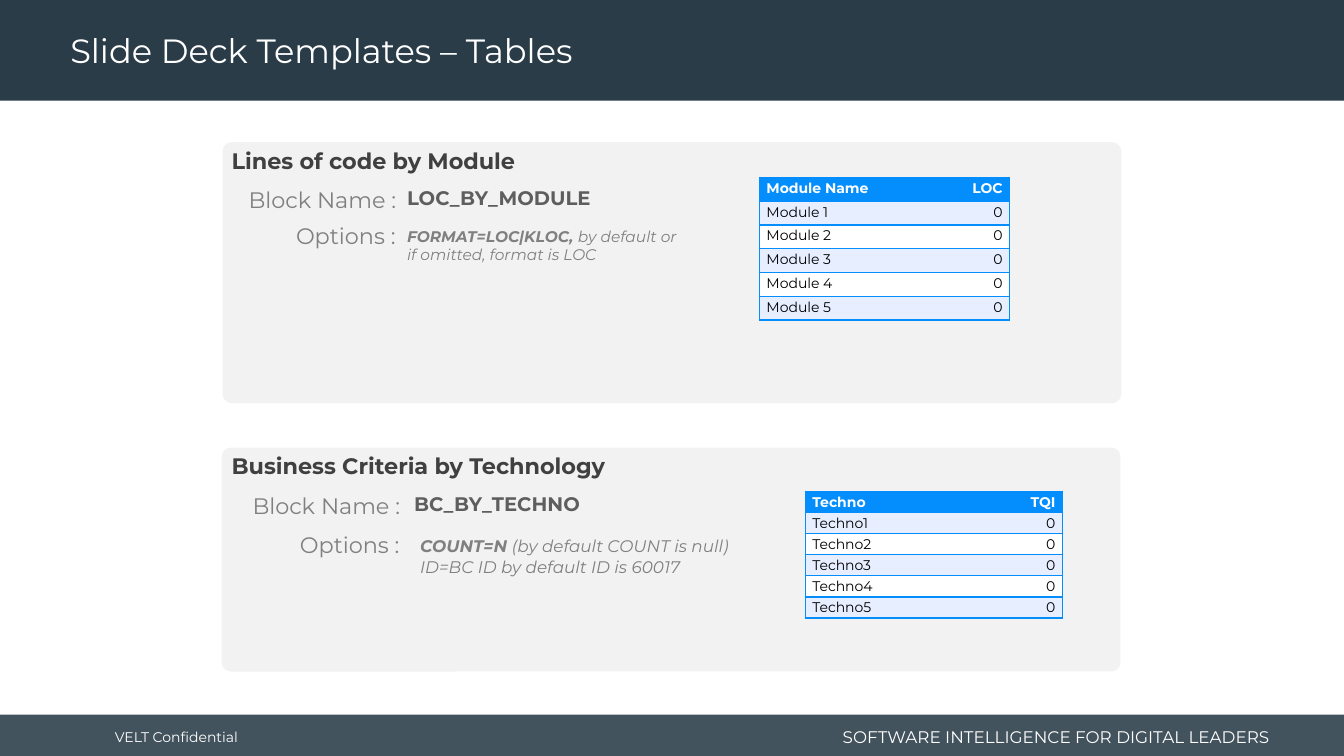
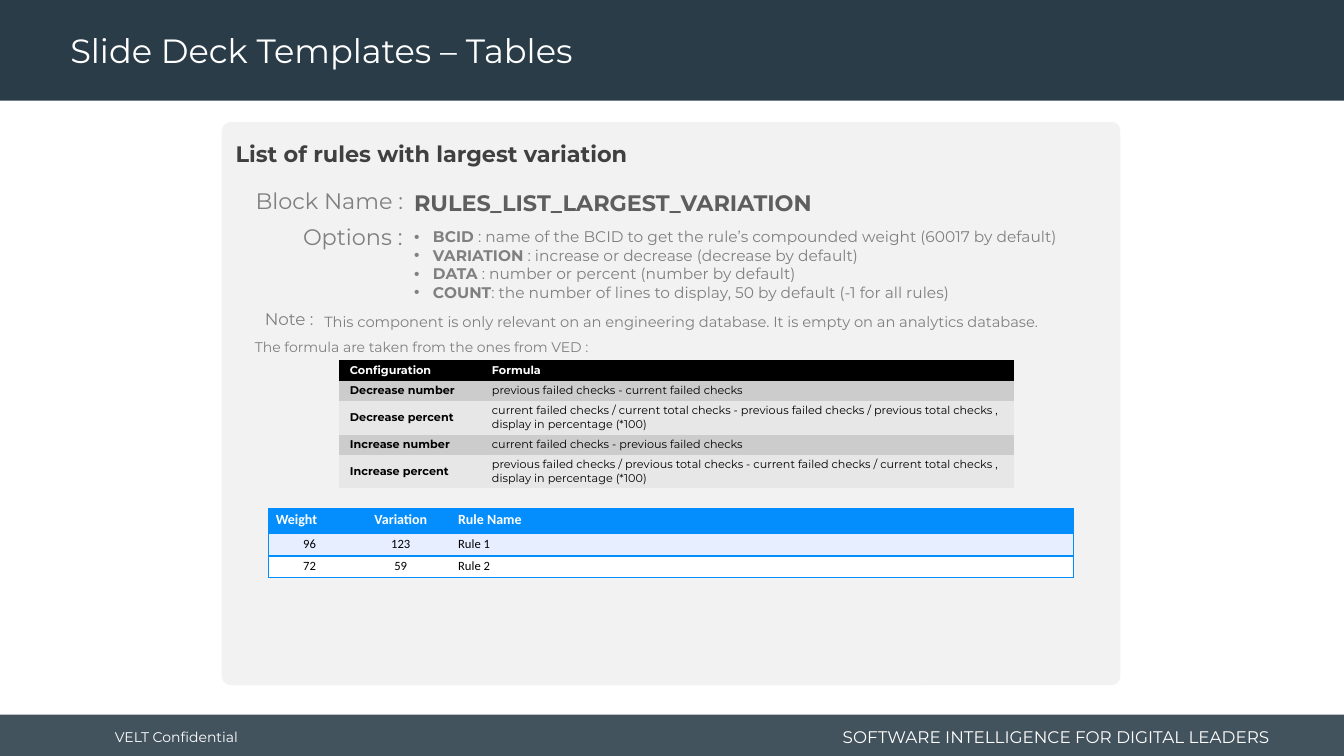
import dataclasses

import pptx
import pptx.dml.color
import pptx.enum.shapes
import pptx.enum.text
import pptx.oxml
import pptx.oxml.ns
import pptx.util

Pt = pptx.util.Pt
qn = pptx.oxml.ns.qn
RGB = pptx.dml.color.RGBColor.from_string
SHAPE = pptx.enum.shapes.MSO_SHAPE
ALIGN = pptx.enum.text.PP_ALIGN
ANCHOR = pptx.enum.text.MSO_ANCHOR
ALIGNS = {"l": ALIGN.LEFT, "c": ALIGN.CENTER, "r": ALIGN.RIGHT}
NS = 'xmlns:a="http://schemas.openxmlformats.org/drawingml/2006/main"'
NO_STYLE = "{2D5ABB26-0587-4C30-8999-92F81FD0307C}"


@dataclasses.dataclass(frozen=True)
class TableLook:
    head: str
    bands: tuple
    border: str = ""
    font: str = "Montserrat"
    head_size: float = 10
    size: float = 10
    spacing: float = 1.15
    margins: tuple = (5, 0)
    anchor: object = ANCHOR.TOP
    bold_first: bool = False


@dataclasses.dataclass(frozen=True)
class Theme:
    font: str = "Montserrat"
    navy: str = "293C47"
    white: str = "FFFFFF"
    black: str = "000000"
    card: str = "F2F2F2"
    heading: str = "404040"
    name: str = "5E5E5E"
    muted: str = "808080"
    title_size: float = 24
    head_size: float = 16
    name_size: float = 14
    body_size: float = 12
    option_size: float = 11
    note_size: float = 10.5
    small_size: float = 10
    radius: float = 6.5
    blue: TableLook = TableLook("048EFD", ("E7EEFF", "FFFFFF"), "048EFD")
    rules: TableLook = TableLook("048EFD", ("E7EEFF", "FFFFFF"), "048EFD",
                                 font="Calibri", size=9)
    grey: TableLook = TableLook("000000", ("CCCCCC", "E7E7E7"), head_size=8, size=8,
                                spacing=1, margins=(8, 2.16), anchor=ANCHOR.MIDDLE,
                                bold_first=True)


class Deck:
    """Draws slides in one style, keeping the theme and the current slide."""

    def __init__(self, theme):
        self.t = theme
        self.prs = pptx.Presentation()
        self.prs.slide_width, self.prs.slide_height = Pt(960), Pt(540)
        self.s = None

    def slide(self, title):
        t = self.t
        self.s = self.prs.slides.add_slide(self.prs.slide_layouts[5])
        self.box(SHAPE.RECTANGLE, 0, 510.5, 960, 29.5, t.navy, alpha=88)
        self.box(SHAPE.RECTANGLE, 0, 0, 960, 72, t.navy)
        self.text(75, 512, 106.5, 28.8, "VELT Confidential", t.small_size, t.white,
                  wrap=False, anchor=ANCHOR.MIDDLE)
        self.text(584, 515, 330, 23, "SOFTWARE INTELLIGENCE FOR DIGITAL LEADERS",
                  t.body_size, t.white, align="r", anchor=ANCHOR.MIDDLE)
        sp = self.s.shapes.title
        sp.element.getparent().append(sp.element)
        self.place(sp, 43, 3, 690, 69)
        sp.text_frame.vertical_anchor = ANCHOR.MIDDLE
        p = sp.text_frame.paragraphs[0]
        self.fill_paragraph(p, [(title, False)], t.title_size, t.white, spacing=0.9)

    def place(self, sp, x, y, w, h):
        for key, value in dict(left=x, top=y, width=w, height=h).items():
            setattr(sp, key, Pt(value))

    def box(self, kind, x, y, w, h, fill, alpha=None):
        sp = self.s.shapes.add_shape(kind, Pt(x), Pt(y), Pt(w), Pt(h))
        sp.shadow.inherit = False
        sp.fill.solid()
        sp.fill.fore_color.rgb = RGB(fill)
        sp.line.fill.background()
        if alpha:
            clr = sp.element.spPr.find(qn("a:solidFill"))[0]
            clr.append(pptx.oxml.parse_xml(f'<a:alpha {NS} val="{alpha * 1000}"/>'))
        return sp

    def card(self, x, y, w, h):
        sp = self.box(SHAPE.ROUNDED_RECTANGLE, x, y, w, h, self.t.card)
        sp.adjustments[0] = self.t.radius / h

    def fill_paragraph(self, p, runs, size, color, align="l", spacing=None, font=None,
                       italic=False):
        p.alignment = ALIGNS[align]
        if spacing:
            p.line_spacing = spacing
        for text, bold in runs:
            r = p.add_run()
            r.text = text
            fmt = dict(name=font or self.t.font, size=Pt(size), bold=bold, italic=italic)
            for key, value in fmt.items():
                setattr(r.font, key, value)
            r.font.color.rgb = RGB(color)

    def text(self, x, y, w, h, content, size, color, bold=False, wrap=True,
             anchor=ANCHOR.TOP, bullet=False, **fmt):
        sp = self.s.shapes.add_textbox(Pt(x), Pt(y), Pt(w), Pt(h))
        tf = sp.text_frame
        tf.word_wrap, tf.vertical_anchor = wrap, anchor
        lines = [[(content, bold)]] if isinstance(content, str) else content
        for i, runs in enumerate(lines):
            p = tf.add_paragraph() if i else tf.paragraphs[0]
            self.fill_paragraph(p, runs, size, color, **fmt)
        if bullet:
            self.bullets(sp)

    def bullets(self, sp):
        for p in sp.element.iter(qn("a:p")):
            pPr = p.get_or_add_pPr()
            pPr.set("marL", str(Pt(13.5)))
            pPr.set("indent", str(-Pt(13.5)))
            pPr.append(pptx.oxml.parse_xml(f'<a:buFont {NS} typeface="Arial"/>'))
            pPr.append(pptx.oxml.parse_xml(f'<a:buChar {NS} char="•"/>'))

    def section(self, card, heading, head_at, block, block_at, name_at, option_y,
                options, options_at, name_size=None, **fmt):
        t = self.t
        self.card(*card)
        self.text(*head_at, 642, 27, heading, t.head_size, t.heading, bold=True)
        self.text(*name_at, 522, 25, block, name_size or t.name_size, t.name, bold=True)
        x, y = block_at
        for label, left, top, w in (("Block Name :", x, y, 120.2),
                                    ("Options :", x + 32.6, option_y, 87.1)):
            self.text(left, top, w, 26.6, label, t.head_size, t.muted, wrap=False, align="r")
        self.text(*options_at, 36, options, color=t.muted, **fmt)

    def table(self, x, y, widths, heights, data, look, aligns, head_aligns=None):
        frame = self.s.shapes.add_table(len(data), len(widths), Pt(x), Pt(y),
                                        Pt(sum(widths)), Pt(sum(heights)))
        frame.element.find(".//" + qn("a:tableStyleId")).text = NO_STYLE
        tbl = frame.table
        tbl.first_row = tbl.horz_banding = False
        for col, w in zip(tbl.columns, widths):
            col.width = Pt(w)
        for row, h in zip(tbl.rows, heights):
            row.height = Pt(h)
        if look.border:
            self.borders(frame, len(widths), look.border)
        side, edge = look.margins
        for i, values in enumerate(data):
            head = i == 0
            for j, value in enumerate(values):
                cell = tbl.cell(i, j)
                fmt = dict(margin_left=Pt(side), margin_right=Pt(min(side, 5)),
                           margin_top=Pt(edge), margin_bottom=Pt(edge),
                           vertical_anchor=look.anchor)
                for key, v in fmt.items():
                    setattr(cell, key, v)
                cell.fill.solid()
                cell.fill.fore_color.rgb = RGB(look.head if head else look.bands[(i - 1) % 2])
                bold = head or (look.bold_first and j == 0)
                self.fill_paragraph(cell.text_frame.paragraphs[0], [(value, bold)],
                                    look.head_size if head else look.size,
                                    self.t.white if head else self.t.black,
                                    align=(head_aligns or aligns)[j] if head else aligns[j],
                                    spacing=look.spacing, font=look.font)

    def borders(self, frame, count, color):
        for k, tc in enumerate(frame.element.iter(qn("a:tc"))):
            j = k % count
            sides = {"lnL": j == 0, "lnR": j == count - 1, "lnT": True, "lnB": True}
            for tag in (tag for tag, shown in sides.items() if shown):
                tc.get_or_add_tcPr().append(pptx.oxml.parse_xml(
                    f'<a:{tag} {NS} w="{Pt(1)}"><a:solidFill><a:srgbClr val="{color}"/>'
                    f'</a:solidFill></a:{tag}>'))


def zero_rows(stem):
    return [(f"{stem}{n}", "0") for n in range(1, 6)]


def main():
    t = Theme()
    deck = Deck(t)
    title = "Slide Deck Templates – Tables"

    deck.slide(title)
    deck.section((158.4, 319.7, 642, 160), "Business Criteria by Technology", (158.4, 319.7),
                 "BC_BY_TECHNO", (172.8, 347.8), (288.7, 347.8), 375.8,
                 [[("COUNT=N ", True), ("(by default COUNT is null)", False)],
                  [("ID=BC ID by default ID is 60017", False)]],
                 (293, 379.4, 522), size=t.body_size, italic=True)
    deck.section((159, 101.5, 642, 186.5), "Lines of code by Module", (158.4, 101.5),
                 "LOC_BY_MODULE", (170, 129.6), (283.7, 129.6), 155,
                 [[("FORMAT=LOC|KLOC, ", True),
                   ("by default or if omitted, format is LOC", False)]],
                 (283.7, 158.4, 210), size=t.option_size, italic=True)
    deck.table(575.3, 351, (107.6, 76), [15.1] * 6,
               [("Techno", "TQI")] + zero_rows("Techno"), t.blue, "lr")
    deck.table(542.5, 126.7, (104.4, 74.2), [17] * 6,
               [("Module Name", "LOC")] + zero_rows("Module "), t.blue, "lr")

    deck.slide(title)
    deck.section((158.4, 87, 642, 402.5), "List of rules with largest variation", (161.3, 96.5),
                 "RULES_LIST_LARGEST_VARIATION", (175, 130.3), (288.7, 131.8), 156.2,
                 [[("BCID", True),
                   (" : name of the BCID to get the rule’s compounded weight (60017 by default)",
                    False)],
                  [("VARIATION", True), (" : increase or decrease (decrease by default)", False)],
                  [("DATA", True), (" : number or percent (number by default)", False)],
                  [("COUNT", True),
                   (": the number of lines to display, 50 by default (-1 for all rules)", False)]],
                 (288.7, 159, 514), name_size=t.head_size, size=t.option_size, bullet=True)
    deck.table(192, 363.3, (58.3, 72, 444.4), (18, 15.8, 15.2),
               [("Weight", "Variation", "Rule Name"),
                ("96", "123", "Rule 1"),
                ("72", "59", "Rule 2")], t.rules, "ccl", "lcl")
    deck.table(242, 257.5, (101.4, 380.8), (14.5, 14.5, 24, 14.5, 24),
               [("Configuration", "Formula"),
                ("Decrease number", "previous failed checks - current failed checks"),
                ("Decrease percent",
                 "current failed checks / current total checks - previous failed checks / "
                 "previous total checks , display in percentage (*100)"),
                ("Increase number", "current failed checks - previous failed checks"),
                ("Increase percent",
                 "previous failed checks / previous total checks - current failed checks / "
                 "current total checks , display in percentage (*100)")], t.grey, "ll")
    deck.text(175, 238.3, 268.6, 19.4, "The formula are taken from the ones from VED :",
              t.small_size, t.muted, anchor=ANCHOR.MIDDLE)
    deck.text(224.6, 219.6, 551, 20.9,
              "This component is only relevant on an engineering database. "
              "It is empty on an analytics database.", t.note_size, t.muted)
    deck.text(180.7, 216.7, 50.4, 21.6, "Note :", t.body_size, t.muted, wrap=False, align="r")

    deck.prs.save("out.pptx")


if __name__ == "__main__":
    main()
